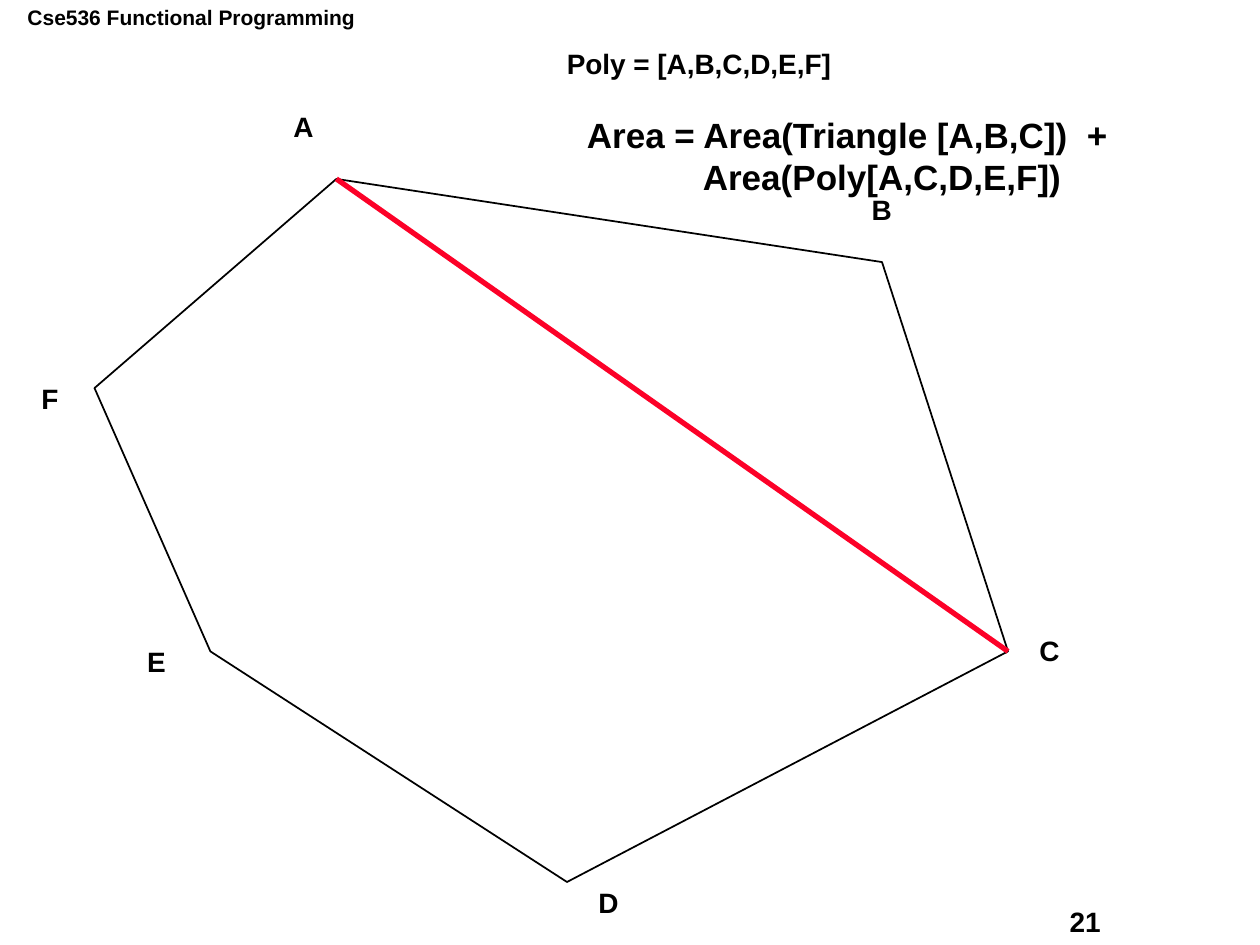
from lxml import etree
from pptx import Presentation
from pptx import util as u
from pptx.dml.color import RGBColor
from pptx.enum import shapes, text
from pptx.oxml import ns

COLOURS = {"ink": "000000", "paper": "FFFFFF", "diagonal": "FC0128"}
FONT = {"name": "Arial", "bold": True}
FRAME = {"auto_size": text.MSO_AUTO_SIZE.NONE,
         "vertical_anchor": text.MSO_ANCHOR.TOP}


def colour(key):
    return RGBColor.from_string(COLOURS[key])


def add_label(lines, left, top, width, height, size, wrap=False):
    label = slide.shapes.add_textbox(*map(u.Inches, (left, top, width, height)))
    frame = label.text_frame
    for name, value in {**FRAME, "word_wrap": wrap}.items():
        setattr(frame, name, value)
    frame.text = "\n".join(lines)
    for paragraph in frame.paragraphs:
        for name, value in {**FONT, "size": u.Pt(size)}.items():
            setattr(paragraph.runs[0].font, name, value)
        paragraph.runs[0].font.color.rgb = colour("ink")
    return frame


deck = Presentation()
deck.slide_width, deck.slide_height = u.Inches(10), u.Inches(7.5)
slide = deck.slides.add_slide(deck.slide_layouts[6])

# Course name and page number
add_label(["Cse536 Functional Programming"], 0.12, -0.01, 2.8, 0.3, 12)
add_label(["21"], 8.39, 7.13, 1.27, 0.36, 16, wrap=True)

# Polygon
places = {"A": (2.67, 1.42), "B": (7, 2.08), "C": (8, 5.17),
          "D": (4.5, 7), "E": (1.67, 5.17), "F": (0.75, 3.08)}
vertices = {letter: (u.Inches(x), u.Inches(y)) for letter, (x, y) in places.items()}
start, *others = vertices.values()
outline = slide.shapes.build_freeform(*start)
outline.add_line_segments(others, close=True)
polygon = outline.convert_to_shape()
polygon.shadow.inherit = False
polygon.fill.solid()
polygon.fill.fore_color.rgb = colour("paper")
polygon.line.color.rgb = colour("ink")
polygon.line.width = u.Pt(1)

# Vertex letters
letter_places = {"A": (2.23, 0.82), "B": (6.82, 1.48), "C": (8.15, 4.98),
                 "D": (4.65, 6.98), "E": (1.07, 5.07), "F": (0.23, 2.98)}
for letter, (left, top) in letter_places.items():
    add_label([letter], left, top, 0.36, 0.37, 16)

# Definition of the polygon
add_label(["Poly = [A,B,C,D,E,F]"], 4.4, 0.32, 2.3, 0.37, 16)

# Diagonal that cuts off triangle ABC
diagonal = slide.shapes.add_connector(
    shapes.MSO_CONNECTOR.STRAIGHT, *vertices["A"], *vertices["C"])
diagonal.line.color.rgb = colour("diagonal")
diagonal.line.width = u.Pt(3)
etree.SubElement(diagonal._element.spPr, ns.qn("a:effectLst"))

# Recursive area formula, second line indented
formula = add_label(["Area = Area(Triangle [A,B,C])  +", "Area(Poly[A,C,D,E,F])"],
                    4.56, 0.85, 4.36, 0.77, 20)
formula.paragraphs[1]._p.get_or_add_pPr().set("marL", str(u.Inches(0.92)))

deck.save("out.pptx")
